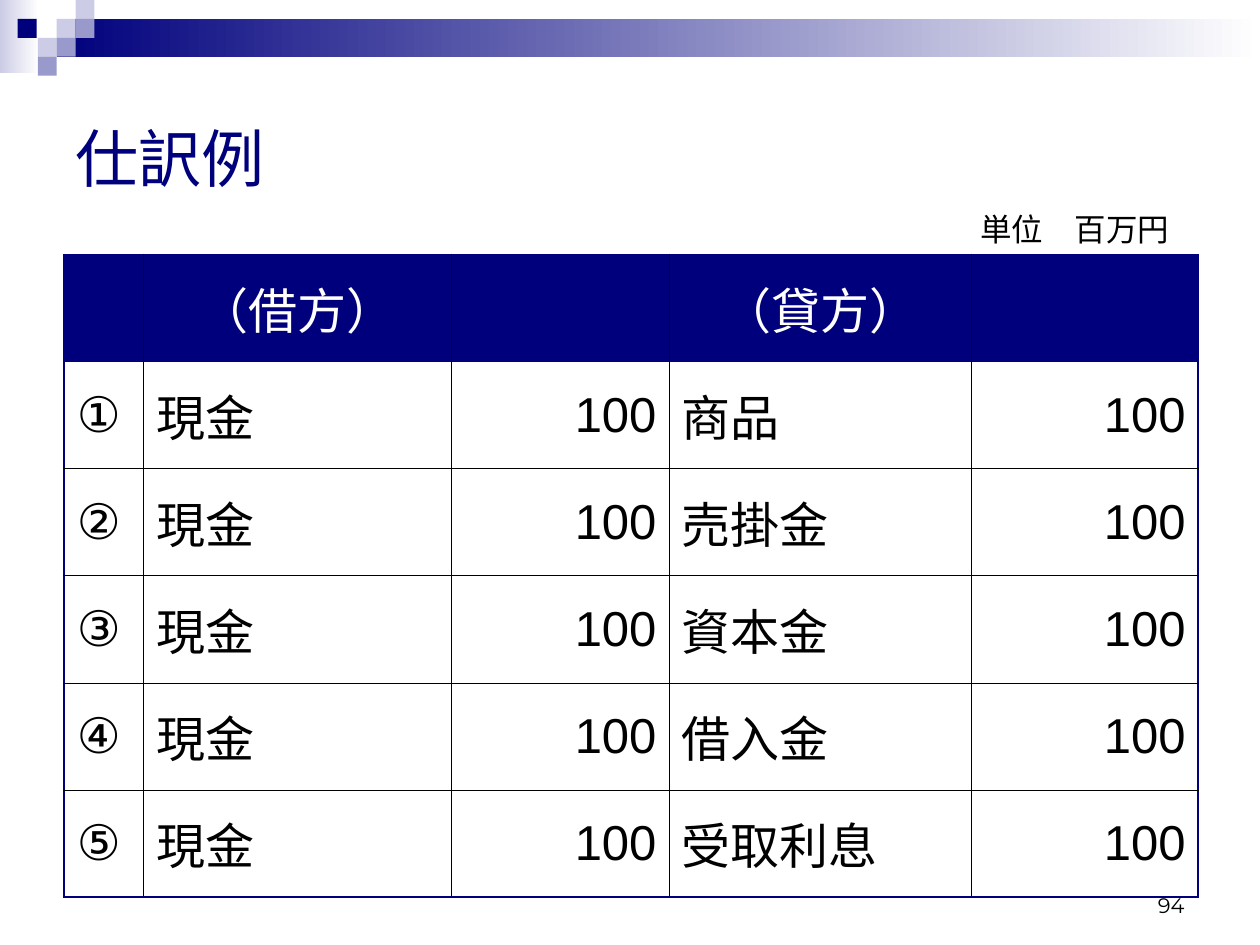
from dataclasses import dataclass

from lxml import etree
from pptx import Presentation
from pptx.dml.color import RGBColor
from pptx.enum import shapes, text
from pptx.oxml import ns
from pptx.util import Inches, Pt


@dataclass(frozen=True)
class Theme:
    navy: str = "00007D"
    violet: str = "9999CC"
    lilac: str = "CCCCE6"
    white: str = "FFFFFF"
    black: str = "000000"
    font: str = "Arial"
    number_font: str = "Montserrat"
    title_size: int = 36
    table_size: int = 28
    unit_size: int = 18
    number_size: int = 12
    outer_line: float = 1.08
    inner_line: float = 0.45


THEME = Theme()
LEFT, CENTER, RIGHT = text.PP_ALIGN.LEFT, text.PP_ALIGN.CENTER, text.PP_ALIGN.RIGHT
MIDDLE = text.MSO_ANCHOR.MIDDLE

HEADINGS = ["", "（借方）", "", "（貸方）", ""]
CREDIT_ACCOUNTS = ["商品", "売掛金", "資本金", "借入金", "受取利息"]
COLUMN_WIDTHS = [0.63, 2.44, 1.73, 2.4, 1.8]
COLUMN_ALIGNS = [LEFT, LEFT, RIGHT, LEFT, RIGHT]
ROW_HEIGHT = 0.85
SQUARE = 0.15


def write(frame, words, size, color, align=LEFT, font=THEME.font):
    para = frame.paragraphs[0]
    para.text = words
    para.alignment = align
    para.font.size = Pt(size)
    para.font.name = font
    para.font.color.rgb = RGBColor.from_string(color)


def add_block(page, left, top, width, height, color, fade=False):
    """Add a plain rectangle; fade runs its colour out to white on the right."""
    block = page.shapes.add_shape(
        shapes.MSO_SHAPE.RECTANGLE,
        Inches(left), Inches(top), Inches(width), Inches(height))
    block.shadow.inherit = False
    block.line.fill.background()
    if fade:
        block.fill.gradient()
        block.fill.gradient_angle = 0
        for stop, shade in zip(block.fill.gradient_stops, (color, THEME.white)):
            stop.color.rgb = RGBColor.from_string(shade)
    else:
        block.fill.solid()
        block.fill.fore_color.rgb = RGBColor.from_string(color)


def add_banner(page):
    add_block(page, 0, 0, 0.31, 0.58, THEME.lilac, fade=True)
    add_block(page, 3 * SQUARE, SQUARE, 9.55, 2 * SQUARE, THEME.navy, fade=True)
    mosaic = [
        (3, 1, THEME.lilac), (4, 0, THEME.lilac), (4, 1, THEME.violet),
        (2, 2, THEME.lilac), (3, 2, THEME.violet), (2, 3, THEME.violet),
    ]
    for column, row, color in mosaic:
        add_block(page, column * SQUARE, row * SQUARE, SQUARE, SQUARE, color)
    add_block(page, 0.14, SQUARE, SQUARE, SQUARE, THEME.navy)


def add_label(page, left, top, width, height, words, size,
              anchor=text.MSO_ANCHOR.TOP, **style):
    box = page.shapes.add_textbox(
        Inches(left), Inches(top), Inches(width), Inches(height))
    box.text_frame.word_wrap = True
    box.text_frame.vertical_anchor = anchor
    write(box.text_frame, words, size, THEME.black, **style)


def set_title(page, words):
    title = page.shapes.title
    title.left, title.top = Inches(0.5), Inches(0.5)
    title.width, title.height = Inches(9), Inches(1.5)
    title.text_frame.vertical_anchor = MIDDLE
    write(title.text_frame, words, THEME.title_size, THEME.navy)


def set_borders(cell, navy_sides):
    """Rule all four sides: heavy navy where named, thin black elsewhere."""
    properties = cell._tc.get_or_add_tcPr()
    for side in "LRTB":
        heavy = side in navy_sides
        width = THEME.outer_line if heavy else THEME.inner_line
        line = etree.SubElement(
            properties, ns.qn(f"a:ln{side}"), w=str(int(Pt(width))))
        fill = etree.SubElement(line, ns.qn("a:solidFill"))
        etree.SubElement(fill, ns.qn("a:srgbClr"),
                         val=THEME.navy if heavy else THEME.black)


def add_journal(page):
    rows = [HEADINGS] + [
        [number, "現金", "100", account, "100"]
        for number, account in zip("①②③④⑤", CREDIT_ACCOUNTS)]
    last_row, last_column = len(rows) - 1, len(HEADINGS) - 1
    table = page.shapes.add_table(
        len(rows), len(HEADINGS), Inches(0.51), Inches(2.02),
        Inches(sum(COLUMN_WIDTHS)), Inches(ROW_HEIGHT * len(rows))).table
    table.first_row = table.horz_banding = False
    for column, width in zip(table.columns, COLUMN_WIDTHS):
        column.width = Inches(width)

    for r, entries in enumerate(rows):
        table.rows[r].height = Inches(ROW_HEIGHT)
        header = r == 0
        for c, words in enumerate(entries):
            cell = table.cell(r, c)
            navy_sides = (("L" if c == 0 else "")
                          + ("R" if c == last_column else "")
                          + ("T" if r <= 1 else "")
                          + ("B" if r in (0, last_row) else ""))
            set_borders(cell, navy_sides)
            cell.fill.solid()
            cell.fill.fore_color.rgb = RGBColor.from_string(
                THEME.navy if header else THEME.white)
            cell.vertical_anchor = MIDDLE
            if words:
                write(cell.text_frame, words, THEME.table_size,
                      THEME.white if header else THEME.black,
                      CENTER if header else COLUMN_ALIGNS[c])


def main():
    deck = Presentation()
    deck.slide_width, deck.slide_height = Inches(10), Inches(7.5)
    page = deck.slides.add_slide(deck.slide_layouts.get_by_name("Title Only"))
    add_banner(page)
    add_label(page, 7.17, 6.83, 2.33, 0.5, "94", THEME.number_size,
              anchor=text.MSO_ANCHOR.BOTTOM, align=RIGHT, font=THEME.number_font)
    set_title(page, "仕訳例")
    add_journal(page)
    add_label(page, 7.68, 1.62, 1.89, 0.4, "単位　百万円", THEME.unit_size)
    deck.save("out.pptx")


if __name__ == "__main__":
    main()
